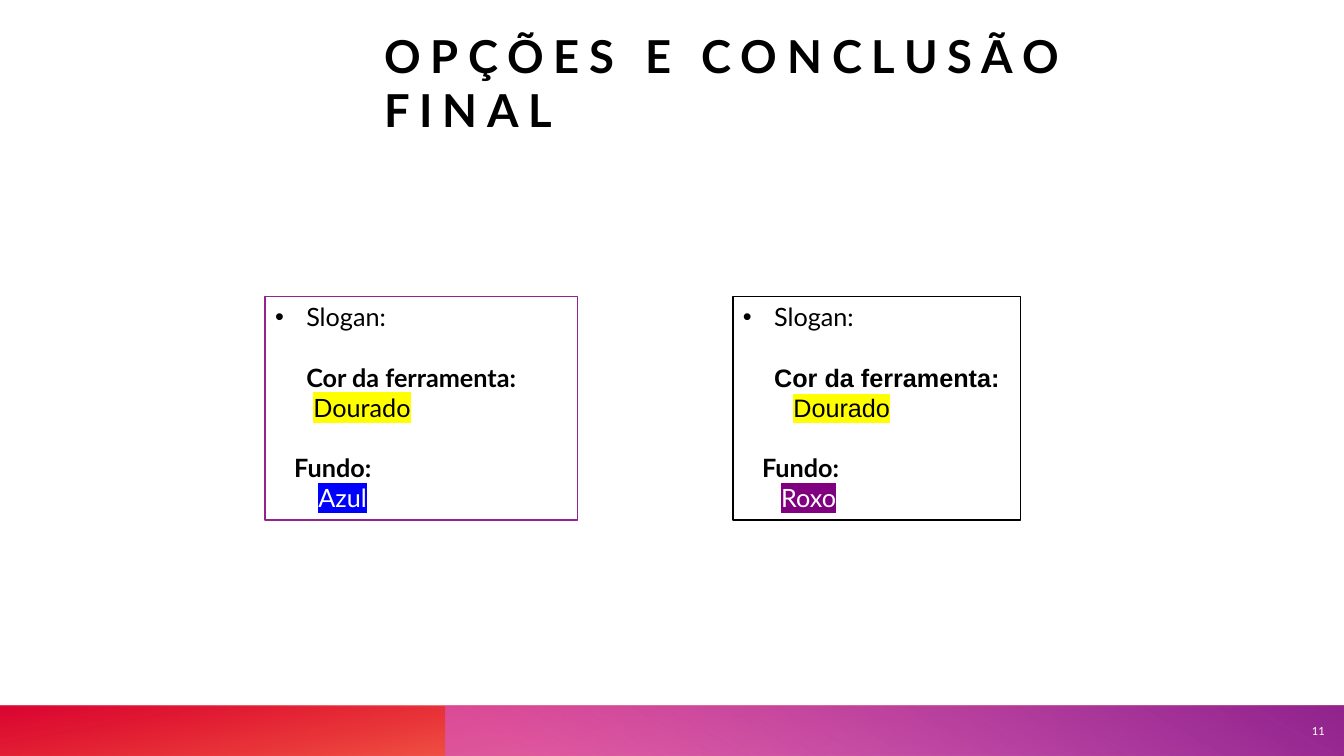
from dataclasses import dataclass

from lxml.etree import SubElement
from pptx import Presentation
from pptx.dml.color import RGBColor
from pptx.enum.shapes import MSO_SHAPE
from pptx.enum.text import MSO_ANCHOR, MSO_AUTO_SIZE, PP_ALIGN
from pptx.oxml import parse_xml
from pptx.oxml.ns import nsdecls, qn
from pptx.util import Inches, Pt


@dataclass(frozen=True)
class Theme:
    font: str = "Lato"
    alternate_font: str = "Arial"
    title_size: float = 32.4
    body_size: float = 18
    number_size: float = 8
    blank_line: float = 21.6
    black: str = "000000"
    white: str = "FFFFFF"
    purple: str = "92248E"
    yellow: str = "FFFF00"
    blue: str = "0000FF"
    violet: str = "800080"
    warm_stops: tuple = ((14, "FE4A00", 28), (100, "DA002F", 85))
    cool_stops: tuple = ((9, "D861D4", 55), (99, "92248E", 100))


THEME = Theme()


def apply_format(target, values):
    for name, value in values.items():
        setattr(target, name, value)


def add_run(paragraph, text, size, color=THEME.black, font=THEME.font, bold=False):
    run = paragraph.add_run()
    run.text = text
    apply_format(run.font, {"name": font, "size": Pt(size), "bold": bold})
    run.font.color.rgb = RGBColor.from_string(color)
    return run


def highlight_run(run, color):
    highlight = parse_xml(
        f'<a:highlight {nsdecls("a")}><a:srgbClr val="{color}"/></a:highlight>'
    )
    run.font._element.find(qn("a:solidFill")).addnext(highlight)


def indent_paragraph(paragraph, left, bullet=None):
    properties = paragraph._p.get_or_add_pPr()
    properties.set("marL", str(Inches(left)))
    properties.set("indent", str(-Inches(left) if bullet else 0))
    if bullet:
        SubElement(properties, qn("a:buFont"), typeface=THEME.alternate_font)
        SubElement(properties, qn("a:buChar"), char=bullet)
    else:
        SubElement(properties, qn("a:buNone"))


def add_rectangle(slide, box):
    shape = slide.shapes.add_shape(MSO_SHAPE.RECTANGLE, *map(Inches, box))
    shape.shadow.inherit = False
    return shape


def add_band(slide, box, stops, angle, rotation=0):
    band = add_rectangle(slide, box)
    band.line.fill.background()
    band.rotation = rotation
    band._element.spPr.find(qn("a:xfrm")).set("flipH", "1")
    stop_list = "".join(
        f'<a:gs pos="{position * 1000}"><a:srgbClr val="{color}">'
        f'<a:alpha val="{alpha * 1000}"/></a:srgbClr></a:gs>'
        for position, color, alpha in stops
    )
    gradient = parse_xml(
        f'<a:gradFill {nsdecls("a")} rotWithShape="1"><a:gsLst>{stop_list}</a:gsLst>'
        f'<a:lin ang="{angle * 60000}" scaled="0"/></a:gradFill>'
    )
    band._element.spPr.find(qn("a:prstGeom")).addnext(gradient)


def add_footer(slide, box, number):
    left, top, width, height = box
    split = 4.42
    for layer_top in (top, top + 0.01):
        add_band(slide, (left, layer_top, width, height), THEME.warm_stops, 100, 180)
        add_band(
            slide,
            (left + split, layer_top, width - split, height),
            THEME.cool_stops,
            240,
        )
    number_box = (left + width - 0.57, top + 0.01, 0.48, 0.49)
    frame = slide.shapes.add_textbox(*map(Inches, number_box)).text_frame
    apply_format(frame, {"word_wrap": True, "vertical_anchor": MSO_ANCHOR.MIDDLE})
    paragraph = frame.paragraphs[0]
    paragraph.alignment = PP_ALIGN.RIGHT
    add_run(paragraph, number, THEME.number_size, THEME.white)


def add_title(slide, box, text):
    title = slide.shapes.title
    apply_format(title, dict(zip(("left", "top", "width", "height"), map(Inches, box))))
    frame = title.text_frame
    apply_format(frame, {
        "margin_left": 0, "margin_top": 0, "margin_right": 0, "margin_bottom": 0,
        "word_wrap": True, "auto_size": MSO_AUTO_SIZE.NONE,
        "vertical_anchor": MSO_ANCHOR.BOTTOM,
    })
    paragraph = frame.paragraphs[0]
    paragraph.alignment = PP_ALIGN.LEFT
    run = add_run(paragraph, text, THEME.title_size, bold=True)
    run.font._element.set("spc", "700")


def add_option(slide, box, border, tool_font, tool_indent, background):
    name, color, background_indent = background
    card = add_rectangle(slide, box)
    card.fill.solid()
    card.fill.fore_color.rgb = RGBColor.from_string(THEME.white)
    card.line.color.rgb = RGBColor.from_string(border)
    card.line.width = Pt(1)
    frame = card.text_frame
    apply_format(frame, {"word_wrap": True, "vertical_anchor": MSO_ANCHOR.TOP})
    rows = (
        ("Slogan:", 0.31, {}, None, THEME.blank_line),
        ("Cor da ferramenta:", 0.31, {"font": tool_font, "bold": True}, None, 0),
        ("Dourado", tool_indent, {"font": tool_font}, THEME.yellow, THEME.blank_line),
        ("Fundo:", 0.19, {"bold": True}, None, 0),
        (name, background_indent, {"color": THEME.white}, color, 0),
    )
    for index, (text, indent, style, highlight, gap) in enumerate(rows):
        paragraph = frame.add_paragraph() if index else frame.paragraphs[0]
        apply_format(paragraph, {"alignment": PP_ALIGN.LEFT, "space_after": Pt(gap)})
        indent_paragraph(paragraph, indent, None if index else "•")
        run = add_run(paragraph, text, THEME.body_size, **style)
        if highlight:
            highlight_run(run, highlight)


def main():
    presentation = Presentation()
    presentation.slide_width = Inches(13.33)
    presentation.slide_height = Inches(7.5)
    slide = presentation.slides.add_slide(presentation.slide_layouts[5])
    add_footer(slide, (0, 7, 13.33, 0.5), "11")
    add_title(slide, (3.81, 0.44, 6.92, 0.92), "OPÇÕES E CONCLUSÃO FINAL")
    add_option(slide, (2.63, 2.94, 3.1, 2.22), THEME.purple, THEME.font, 0.38,
               ("Azul", THEME.blue, 0.43))
    add_option(slide, (7.27, 2.94, 2.85, 2.22), THEME.black, THEME.alternate_font, 0.5,
               ("Roxo", THEME.violet, 0.38))
    presentation.save("out.pptx")


if __name__ == "__main__":
    main()
